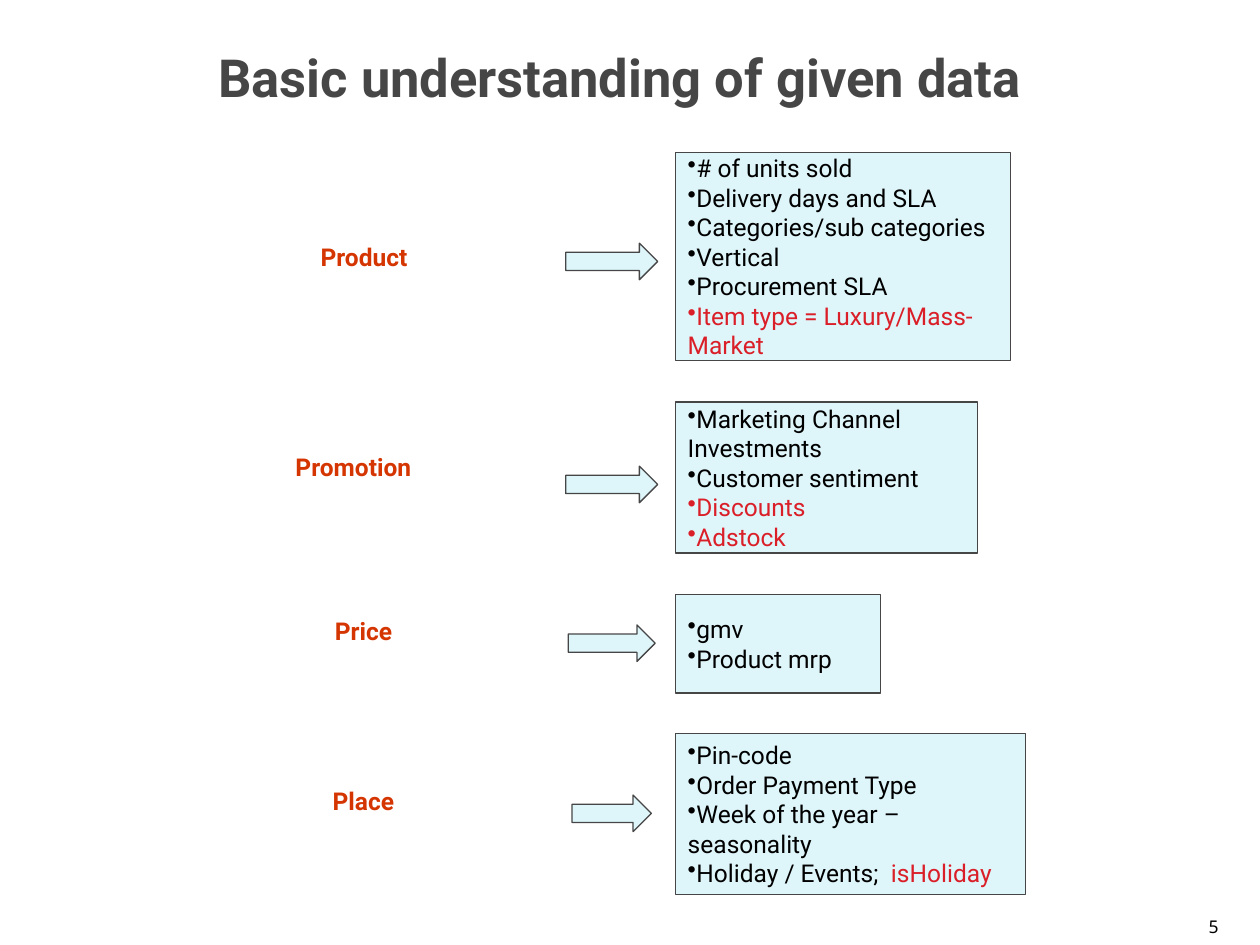
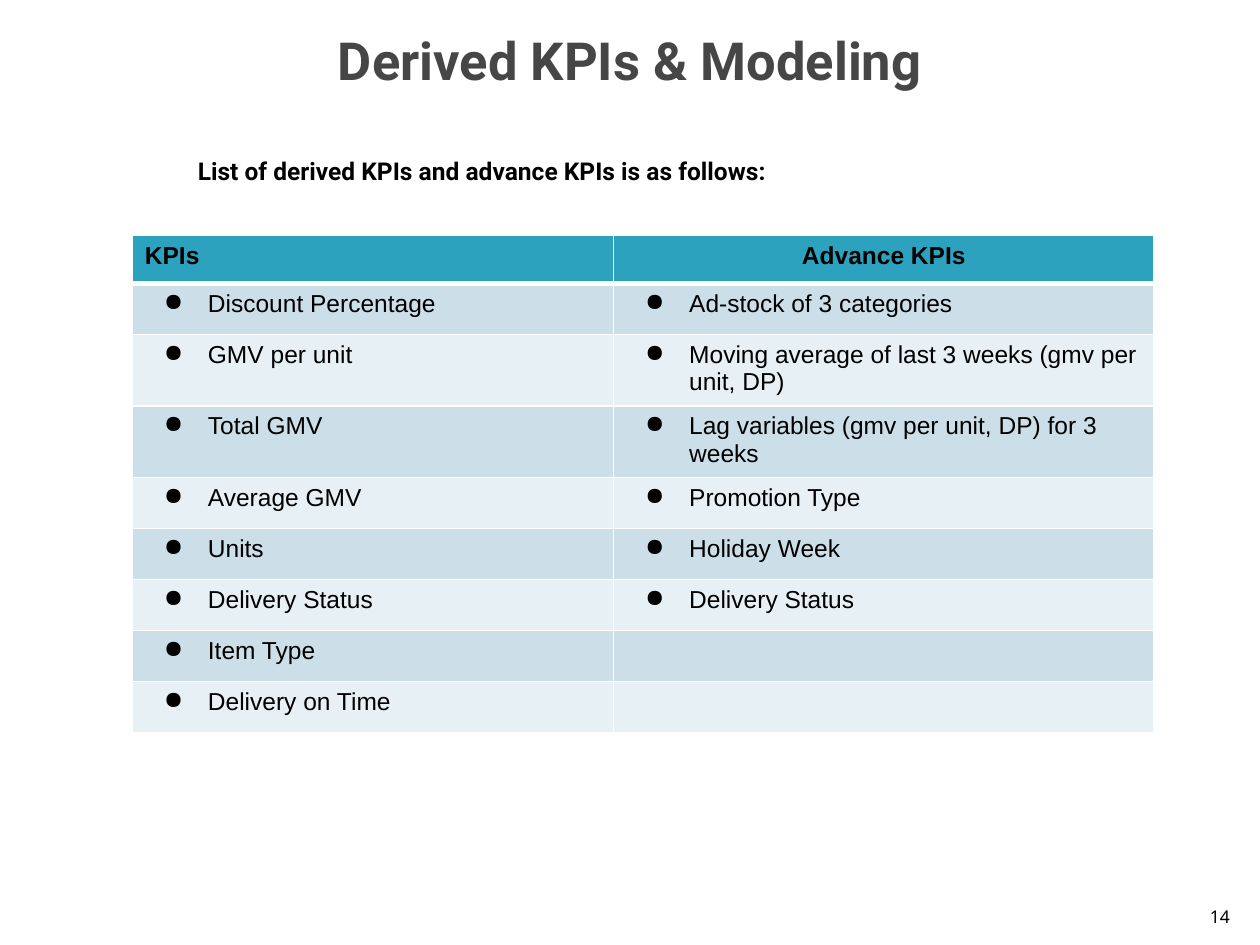
from itertools import zip_longest

from lxml.etree import SubElement
from pptx import Presentation
from pptx.dml.color import RGBColor
from pptx.enum.shapes import MSO_SHAPE
from pptx.enum.text import MSO_ANCHOR, PP_ALIGN
from pptx.oxml import parse_xml
from pptx.oxml.ns import nsdecls, qn
from pptx.util import Inches, Pt

BLACK = RGBColor(0x00, 0x00, 0x00)
WHITE = RGBColor(0xFF, 0xFF, 0xFF)
GREY = RGBColor(0x46, 0x46, 0x46)
RED = RGBColor(0xDA, 0x1F, 0x28)
ORANGE = RGBColor(0xD5, 0x35, 0x00)
PALE_BLUE = RGBColor(0xDE, 0xF5, 0xFA)
TEAL = RGBColor(0x2D, 0xA2, 0xBF)
BANDS = (RGBColor(0xCC, 0xDF, 0xE8), RGBColor(0xE7, 0xF0, 0xF4))

COLUMNS, ROWS = 100, 75
BODY_FONT = "Roboto"
DATA_COLUMN = 53.6
ARROW_CENTRE = 48.55
ARROW_HEIGHT = 2.9

# name, (label left, top, width, height), (arrow top, width), (box top, width, height), items, alignment
FACTORS = [
    ("Product", (18.5, 18.7, 20.8, 4.2), (19.3, 7.3), (12.1, 26.6, 16.5),
     ["# of units sold", "Delivery days and SLA", "Categories/sub categories", "Vertical",
      "Procurement SLA", [("Item type = Luxury/Mass-Market", RED)]], PP_ALIGN.LEFT),
    ("Promotion", (14.8, 35.4, 26.5, 4.3), (37, 7.3), (31.9, 24, 12),
     ["Marketing Channel Investments", "Customer sentiment", [("Discounts", RED)],
      [("Adstock", RED)]], PP_ALIGN.LEFT),
    ("Price", (19.8, 48.4, 18.1, 5.3), (49.6, 6.9), (47.2, 16.3, 7.8),
     ["gmv", "Product mrp"], PP_ALIGN.JUSTIFY),
    ("Place", (18.7, 61.9, 20.3, 5.3), (63.1, 6.3), (58.2, 27.8, 12.8),
     ["Pin-code", "Order Payment Type", "Week of the year – seasonality",
      [("Holiday / Events;  ", BLACK), ("isHoliday", RED)]], PP_ALIGN.LEFT),
]

KPIS = ["Discount Percentage", "GMV per unit", "Total GMV", "Average GMV", "Units",
        "Delivery Status", "Item Type", "Delivery on Time"]
ADVANCE_KPIS = ["Ad-stock of 3 categories", "Moving average of last 3 weeks (gmv per unit, DP)",
                "Lag variables (gmv per unit, DP) for 3 weeks", "Promotion Type",
                "Holiday Week", "Delivery Status"]


def add_bullet(para, mark, color, margin, indent):
    props = para._p.get_or_add_pPr()
    props.set("marL", str(Inches(margin)))
    props.set("indent", str(Inches(indent)))
    bullet_color = SubElement(props, qn("a:buClr"))
    SubElement(bullet_color, qn("a:srgbClr")).set("val", str(color))
    SubElement(props, qn("a:buChar")).set("char", mark)


def write(frame, paras, size=14, font=BODY_FONT, color=BLACK, bold=False,
          align=PP_ALIGN.LEFT, bullet=None, margin=0, indent=0):
    """Fill a text frame; each paragraph is a string or a list of (text, colour) spans."""
    for index, content in enumerate(paras):
        para = frame.add_paragraph() if index else frame.paragraphs[0]
        para.alignment = align
        spans = [(content, color)] if isinstance(content, str) else content
        if bullet:
            add_bullet(para, bullet, spans[0][1], margin, indent)
        for text, span_color in spans:
            span = para.add_run()
            span.text = text
            span.font.size = Pt(size)
            span.font.name = font
            span.font.bold = bold
            span.font.color.rgb = span_color


def set_borders(cell, top=1, bottom=1):
    widths = {"lnL": 1, "lnR": 1, "lnT": top, "lnB": bottom}
    props = cell._tc.get_or_add_tcPr()
    for place, (tag, width) in enumerate(widths.items()):
        props.insert(place, parse_xml(
            f'<a:{tag} {nsdecls("a")} w="{Pt(width)}"><a:solidFill>'
            f'<a:srgbClr val="{WHITE}"/></a:solidFill></a:{tag}>'))


class SlideBuilder:
    def __init__(self, deck):
        self.deck = deck
        self.column = deck.slide_width / COLUMNS
        self.row = deck.slide_height / ROWS
        self.page = None

    def start(self):
        self.page = self.deck.slides.add_slide(self.deck.slide_layouts[6])
        fill = self.page.background.fill
        fill.solid()
        fill.fore_color.rgb = WHITE

    def area(self, left, top, width, height):
        return (round(left * self.column), round(top * self.row),
                round(width * self.column), round(height * self.row))

    def text(self, place, content, anchor=MSO_ANCHOR.TOP, left_inset=0.1, top_inset=0.05, **style):
        frame = self.page.shapes.add_textbox(*self.area(*place)).text_frame
        frame.word_wrap = True
        frame.vertical_anchor = anchor
        frame.margin_left, frame.margin_top = Inches(left_inset), Inches(top_inset)
        write(frame, [content], **style)

    def title(self, place, content):
        self.text(place, content, MSO_ANCHOR.MIDDLE, size=30, color=GREY, bold=True,
                  align=PP_ALIGN.CENTER)

    def page_number(self, left, top, number):
        self.text((left, top, 4, 4), str(number), MSO_ANCHOR.BOTTOM, size=10,
                  font="Noto Sans", align=PP_ALIGN.RIGHT)

    def shape(self, kind, place):
        shape = self.page.shapes.add_shape(kind, *self.area(*place))
        shape.shadow.inherit = False
        shape.fill.solid()
        shape.fill.fore_color.rgb = PALE_BLUE
        shape.line.color.rgb = GREY
        shape.line.width = Pt(0.75)
        return shape

    def arrow(self, top, width):
        left = ARROW_CENTRE - width / 2
        self.shape(MSO_SHAPE.RIGHT_ARROW, (left, top, width, ARROW_HEIGHT))

    def list_box(self, place, items, align):
        frame = self.shape(MSO_SHAPE.RECTANGLE, place).text_frame
        frame.word_wrap = True
        frame.vertical_anchor = MSO_ANCHOR.MIDDLE
        frame.margin_left = frame.margin_right = Inches(0.1)
        frame.margin_top = frame.margin_bottom = Inches(0.1)
        write(frame, items, align=align, bullet="•", indent=-0.1)

    def table(self, left, top, widths, header_height, row_height, headers, records):
        height = header_height + row_height * len(records)
        table = self.page.shapes.add_table(
            len(records) + 1, len(widths), *self.area(left, top, sum(widths), height)).table
        for column, width in zip(table.columns, widths):
            column.width = round(width * self.column)
        for index, row in enumerate(table.rows):
            row.height = round((row_height if index else header_height) * self.row)

        for index, record in enumerate([headers, *records]):
            for position, content in enumerate(record):
                cell = table.cell(index, position)
                cell.fill.solid()
                cell.fill.fore_color.rgb = BANDS[(index - 1) % 2] if index else TEAL
                set_borders(cell, top=3 if index == 1 else 1, bottom=1 if index else 3)
                if index == 0:
                    align = PP_ALIGN.CENTER if position else PP_ALIGN.LEFT
                    write(cell.text_frame, [content], font="Arial", bold=True, align=align)
                elif content:
                    write(cell.text_frame, [content], font="Arial", bullet="●",
                          margin=0.5, indent=-0.35)


def build_data_slide(builder):
    builder.start()
    builder.title((-0.8, 0.1, 100, 12), "Basic understanding of given data")
    builder.page_number(93.7, 70.9, 5)
    for name, label, arrow, (top, width, height), items, align in FACTORS:
        builder.list_box((DATA_COLUMN, top, width, height), items, align)
        builder.text(label, name, color=ORANGE, bold=True, align=PP_ALIGN.CENTER)
        builder.arrow(*arrow)


def build_kpi_slide(builder):
    builder.start()
    builder.page_number(94.6, 70.1, 14)
    builder.title((0, 0, 100, 9.5), "Derived KPIs & Modeling")
    builder.text((4.7, 9.5, 89.8, 64.6), "List of derived KPIs and advance KPIs is as follows:",
                 left_inset=1.1, top_inset=0.29, bold=True, align=PP_ALIGN.JUSTIFY)
    builder.table(10.5, 18.7, (38.2, 42.9), 3.8, 4.05, ("KPIs", "Advance KPIs"),
                  list(zip_longest(KPIS, ADVANCE_KPIS)))


def main():
    deck = Presentation()
    deck.slide_width, deck.slide_height = Inches(10), Inches(7.5)
    builder = SlideBuilder(deck)
    build_data_slide(builder)
    build_kpi_slide(builder)
    deck.save("out.pptx")


if __name__ == "__main__":
    main()
